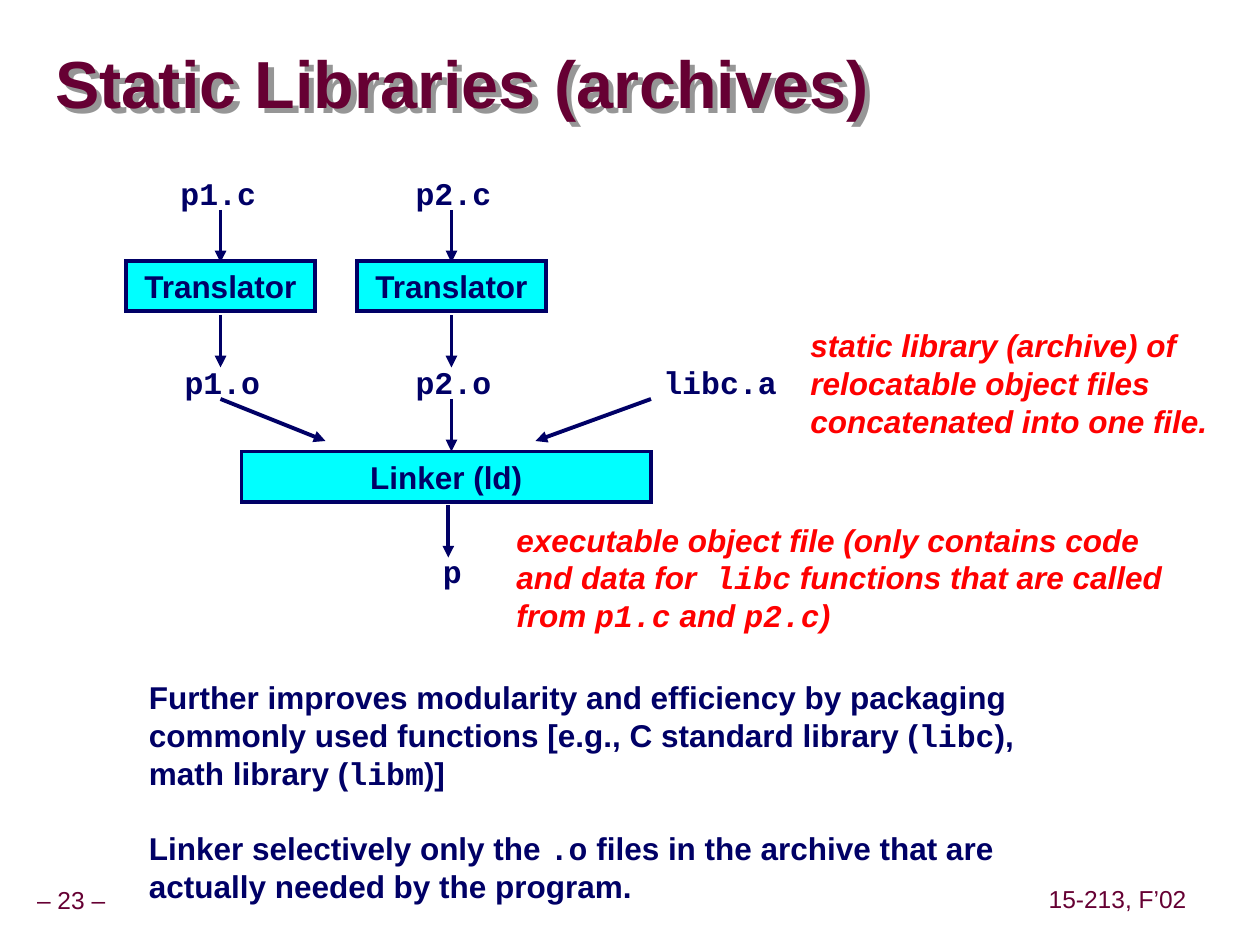
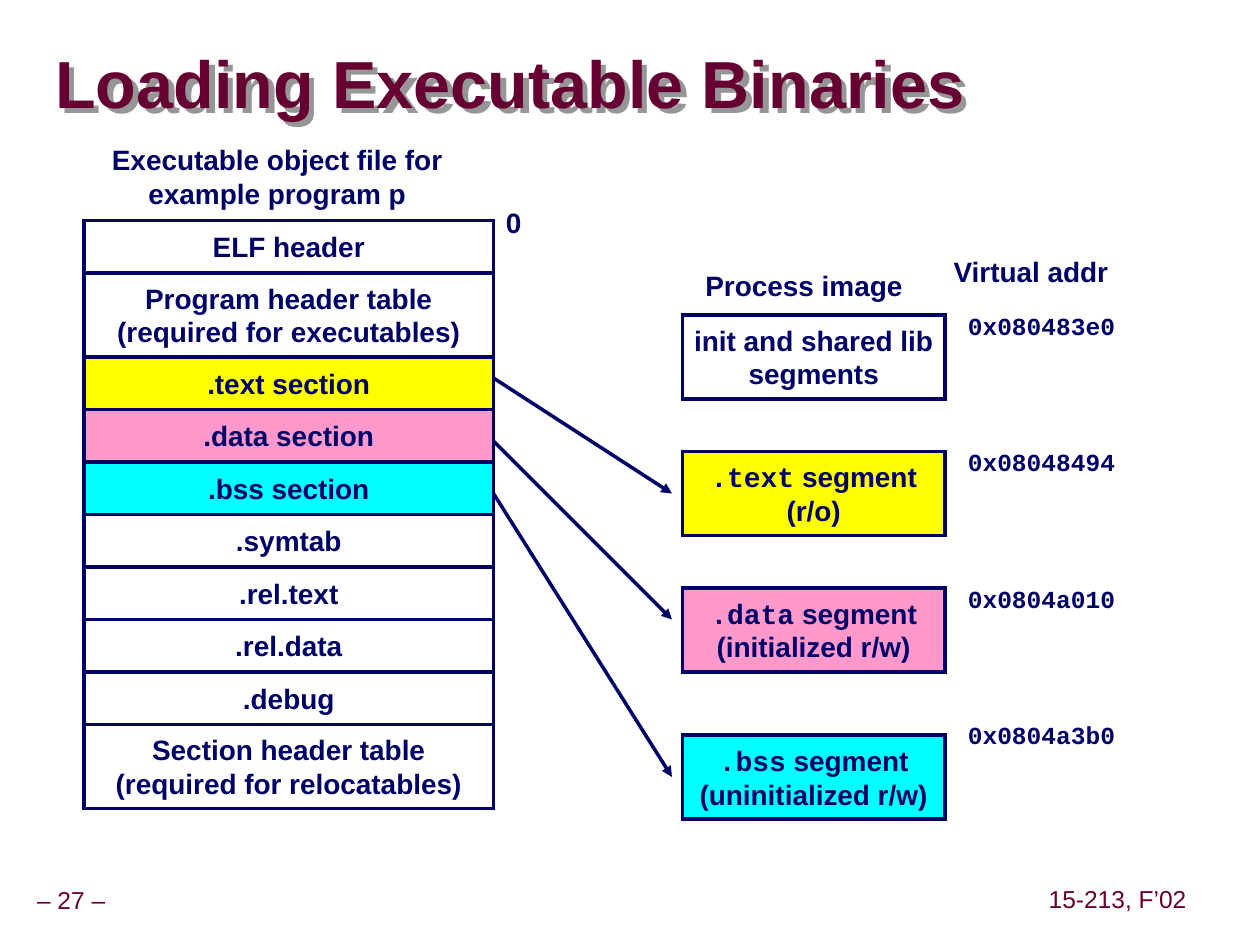
import dataclasses
import typing

import lxml.etree
import pptx
import pptx.dml.color
import pptx.enum.shapes
import pptx.enum.text
import pptx.oxml
import pptx.oxml.ns
import pptx.util

LEFT = pptx.enum.text.PP_ALIGN.LEFT
CENTER = pptx.enum.text.PP_ALIGN.CENTER
TOP = pptx.enum.text.MSO_ANCHOR.TOP
MIDDLE = pptx.enum.text.MSO_ANCHOR.MIDDLE


@dataclasses.dataclass(frozen=True)
class Theme:
    """Colours, fonts, type sizes and line widths of the deck."""

    maroon: str = "660033"
    navy: str = "000066"
    red: str = "FF0000"
    cyan: str = "00FFFF"
    yellow: str = "FFFF00"
    pink: str = "FF99CC"
    white: str = "FFFFFF"
    shadow: str = "969696"
    sans: str = "Arial"
    mono: str = "Courier New"
    title: int = 38
    body: int = 18
    cell: int = 16
    small: int = 14
    thick: float = 2.25
    thin: float = 2


THEME = Theme()
COLUMNS, ROWS = 120, 90
CELL = pptx.util.Inches(10) / COLUMNS


class Box(typing.NamedTuple):
    """An area in grid columns and rows."""

    left: float
    top: float
    width: float
    height: float

    def inner(self, column, row, width, height):
        """Return an area placed relative to this one."""
        return Box(self.left + column, self.top + row, width, height)

    def point(self, column, row):
        """Return a grid point relative to this area."""
        return self.left + column, self.top + row


def grid(values):
    """Convert grid counts to lengths."""
    return [pptx.util.Emu(round(value * CELL)) for value in values]


def assign(target, values):
    """Set each attribute of the target from a dict."""
    for name, value in values.items():
        setattr(target, name, value)


def rgb(code):
    """Return a colour for a hexadecimal code."""
    return pptx.dml.color.RGBColor.from_string(code)


def fill_text(shape, text, size, color=THEME.navy, bold=True, italic=False, align=LEFT,
              anchor=TOP, wrap=False, margins=(0.1, 0.05), line_spacing=1.0, gap=0):
    """Write one paragraph per line, with text between backticks in the mono font."""
    across, down = map(pptx.util.Inches, margins)
    frame = shape.text_frame
    assign(frame, {"word_wrap": wrap, "vertical_anchor": anchor, "margin_left": across,
                   "margin_right": across, "margin_top": down, "margin_bottom": down})
    for index, line in enumerate(text.split("\n")):
        paragraph = frame.add_paragraph() if index else frame.paragraphs[0]
        assign(paragraph, {"alignment": align, "line_spacing": line_spacing,
                           "space_before": pptx.util.Pt(gap if index else 0)})
        for position, part in enumerate(line.split("`")):
            if part:
                run = paragraph.add_run()
                run.text = part
                assign(run.font, {"name": THEME.mono if position % 2 else THEME.sans,
                                  "size": pptx.util.Pt(size), "bold": bold, "italic": italic})
                run.font.color.rgb = rgb(color)


def add_label(slide, box, text, size, wrap=False, **style):
    """Add a text box, which grows with its text unless it wraps."""
    shape = slide.shapes.add_textbox(*grid(box))
    fill_text(shape, text, size, wrap=wrap, **style)
    if not wrap:
        shape.text_frame.auto_size = pptx.enum.text.MSO_AUTO_SIZE.SHAPE_TO_FIT_TEXT
    return shape


def draw_line(shape, width, tag, **attributes):
    """Give a shape a navy line with one extra line property."""
    shape.line.color.rgb = rgb(THEME.navy)
    shape.line.width = pptx.util.Pt(width)
    line = shape.line._get_or_add_ln()
    lxml.etree.SubElement(line, pptx.oxml.ns.qn(tag), **attributes)


def add_block(slide, box, text, size, fill, line_width):
    """Add an outlined rectangle with centred text."""
    shape = slide.shapes.add_shape(pptx.enum.shapes.MSO_SHAPE.RECTANGLE, *grid(box))
    shape.shadow.inherit = False
    shape.fill.solid()
    shape.fill.fore_color.rgb = rgb(fill)
    draw_line(shape, line_width, "a:miter", lim="800000")
    fill_text(shape, text, size, align=CENTER, anchor=MIDDLE)


def add_arrow(slide, start, end, line_width):
    """Add a straight arrow between two grid points."""
    straight = pptx.enum.shapes.MSO_CONNECTOR.STRAIGHT
    arrow = slide.shapes.add_connector(straight, *grid(start + end))
    draw_line(arrow, line_width, "a:tailEnd", type="triangle")
    lxml.etree.SubElement(arrow._element.spPr, pptx.oxml.ns.qn("a:effectLst"))


def add_title(slide, box, text):
    """Add the slide title with its offset shadow."""
    title = add_label(slide, box, text, THEME.title, color=THEME.maroon, anchor=MIDDLE,
                      wrap=True, margins=(0, 0), line_spacing=0.87)
    title._element.spPr.append(pptx.oxml.parse_xml(
        f'<a:effectLst {pptx.oxml.ns.nsdecls("a")}>'
        '<a:outerShdw dist="57000" dir="2700000" algn="ctr" rotWithShape="0">'
        f'<a:srgbClr val="{THEME.shadow}"/></a:outerShdw></a:effectLst>'))


def add_frame(presentation, title, number):
    """Add a slide with the shared title and footers."""
    slide = presentation.slides.add_slide(presentation.slide_layouts[6])
    footers = ((Box(0, 84, 13.56, 3.72), f"– {number} –"),
               (Box(99.24, 83.9, 14.4, 3.72), "15-213, F’02"))
    for box, text in footers:
        add_label(slide, box, text, THEME.small, color=THEME.maroon, bold=False, align=CENTER,
                  anchor=MIDDLE, margins=(0.05, 0.05), line_spacing=0.9)
    add_title(slide, Box(5.28, 3.24, 114.36, 10.2), title)
    return slide


def add_link_diagram(slide, box):
    """Draw the flow from sources through translators and linker to the program."""
    lane_step, lane_width, height = 22, 18, 4.8
    for index, indent in enumerate((4, 4.4)):
        lane = index * lane_step
        add_block(slide, box.inner(lane, 8.84, lane_width, height), "Translator",
                  THEME.body, THEME.cyan, THEME.thick)
        for suffix, row, column in (("c", 0, indent), ("o", 18, 4.4)):
            add_label(slide, box.inner(lane + column, row, 9.6, height),
                      f"`p{index + 1}.{suffix}`", THEME.body)
    add_label(slide, box.inner(50, 18, 13.2, height), "`libc.a`", THEME.body)
    add_block(slide, box.inner(11, 27, 39, height), "Linker (ld)",
              THEME.body, THEME.cyan, THEME.thick)
    add_label(slide, box.inner(29, 36, 4.2, height), "`p`", THEME.body)

    first, second = lane_width / 2, lane_step + lane_width / 2
    drops = ((first, 4), (first, 14), (second, 4), (second, 14), (second, 22), (30.7, 32.1))
    paths = [(column, row, column, row + 5) for column, row in drops]
    paths += [(first, 22, 19, 26), (50, 22, 39, 26)]
    for path in paths:
        add_arrow(slide, box.point(*path[:2]), box.point(*path[2:]), THEME.thick)


def add_remarks(slide, box):
    """Place the red remarks and the closing text."""
    red = {"color": THEME.red, "italic": True}
    remarks = (
        (box.inner(63, 0, 42, 12), red, "static library (archive) of relocatable object files "
         "concatenated into one file."),
        (box.inner(35, 18.5, 64, 12), red, "executable object file (only contains code and data "
         "for` libc` functions that are called from `p1.c` and `p2.c`)"),
        (box.inner(0, 33.5, 90, 22.8), {"gap": 21.6},
         "Further improves modularity and efficiency by packaging commonly used functions "
         "[e.g., C standard library (`libc`), math library (`libm`)]\n"
         "Linker selectively only the `.o` files in the archive that are actually needed "
         "by the program."))
    for area, style, text in remarks:
        add_label(slide, area, text, THEME.body, wrap=True, **style)


def add_object_file(slide, box):
    """Stack the parts of the object file below their heading."""
    add_label(slide, box.inner(1.12, -8, 34.56, 7.68),
              "Executable object file for \nexample program p", THEME.cell, align=CENTER)
    add_label(slide, box.inner(box.width, -2, 3.84, 4.44), "0", THEME.cell)
    fills = {".text section": THEME.yellow, ".data section": THEME.pink,
             ".bss section": THEME.cyan}
    parts = ("ELF header", "Program header table\n(required for executables)", *fills,
             ".symtab", ".rel.text", ".rel.data", ".debug",
             "Section header table\n(required for relocatables)")
    row = 0
    for part in parts:
        height = 8 if "\n" in part else 5
        add_block(slide, box.inner(0, row, box.width, height), part, THEME.cell,
                  fills.get(part, THEME.white), THEME.thin)
        row += height


def add_process_image(slide, box):
    """Place the memory segments with their virtual addresses."""
    add_label(slide, box.inner(1, -5, 21.2, 4.44), "Process image", THEME.cell)
    add_label(slide, box.inner(24.64, -6.36, 17.16, 4.44), "Virtual addr", THEME.cell)
    segments = (
        (0, "init and shared lib\nsegments", THEME.white, "0x080483e0"),
        (13, "`.text` segment\n(r/o)", THEME.yellow, "0x08048494"),
        (26, "`.data` segment\n(initialized r/w)", THEME.pink, "0x0804a010"),
        (40, "`.bss` segment\n(uninitialized r/w)", THEME.cyan, "0x0804a3b0"))
    for index, (row, text, fill, address) in enumerate(segments):
        add_block(slide, box.inner(0, row, box.width, 8), text, THEME.cell, fill, THEME.thin)
        add_label(slide, box.inner(26, 13 * index - 1, 16.44, 4.08), f"`{address}`", THEME.small)


def add_load_arrows(slide, box):
    """Join file sections to the segments they load into."""
    for start, end in ((0, 11), (6, 23), (11, 38)):
        add_arrow(slide, box.point(0, start), box.point(box.width, end), THEME.thin)


def main():
    """Build and save the deck."""
    presentation = pptx.Presentation()
    assign(presentation, dict(zip(("slide_width", "slide_height"), grid((COLUMNS, ROWS)))))

    libraries = add_frame(presentation, "Static Libraries (archives)", 23)
    add_link_diagram(libraries, Box(12, 16, 62, 41))
    add_remarks(libraries, Box(13, 30.5, 105, 56))

    loading = add_frame(presentation, "Loading Executable Binaries", 27)
    add_object_file(loading, Box(8, 21, 39, 56))
    add_process_image(loading, Box(65, 30, 25, 48))
    add_load_arrows(loading, Box(47, 36, 17, 38))

    presentation.save("out.pptx")


if __name__ == "__main__":
    main()
